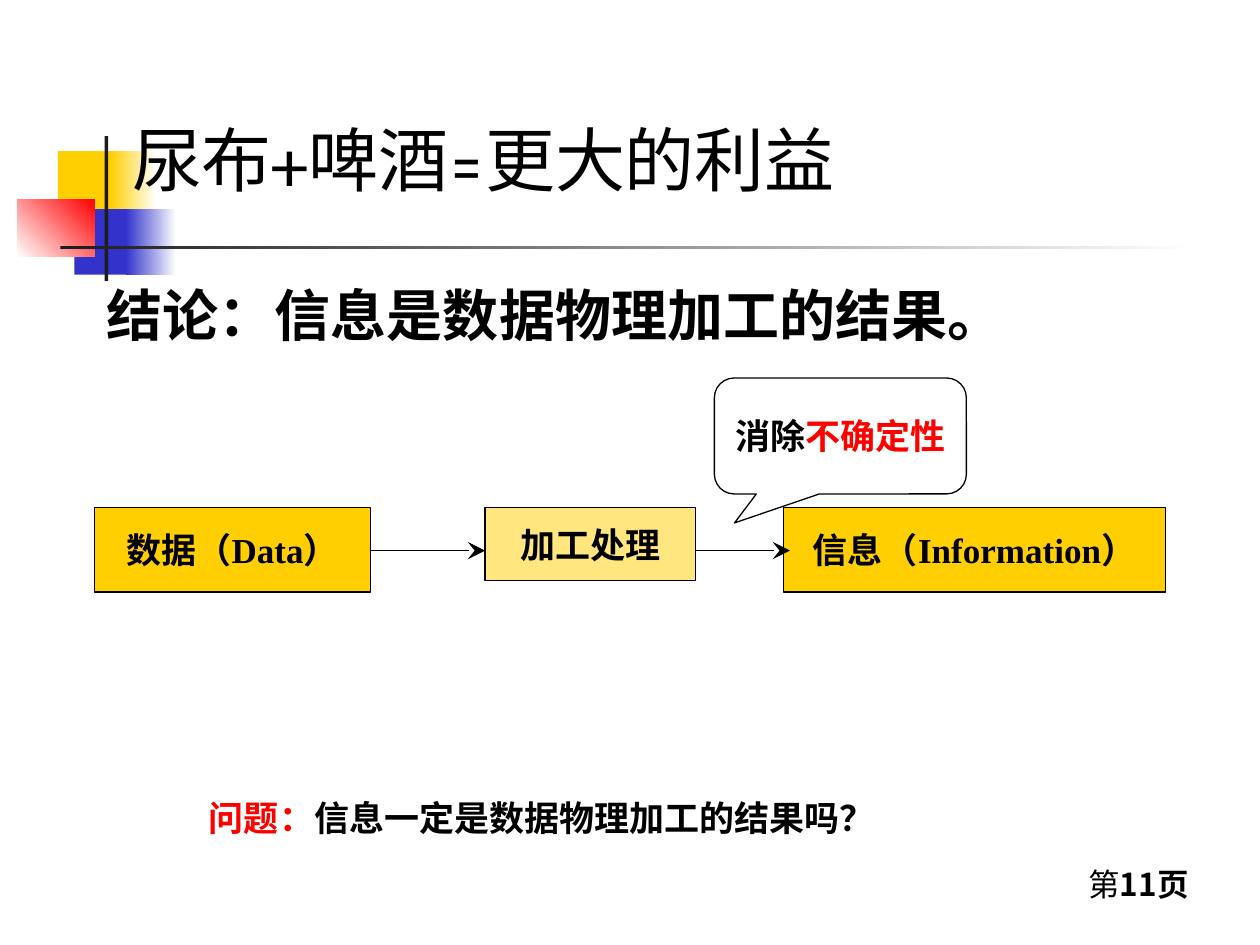
from typing import NamedTuple

from lxml import etree
from pptx import Presentation
from pptx import util as u
from pptx.dml.color import RGBColor
from pptx.enum import shapes, text
from pptx.oxml.ns import qn

BLACK, RED, YELLOW, BLUE, WHITE = "000000", "FF0000", "FFCF01", "3333CC", "FFFFFF"
DARK = "1C1C1C"
CJK, SERIF = "Noto Sans CJK SC", "Times New Roman"


class Area(NamedTuple):
    left: float
    top: float
    width: float
    height: float


class Span(NamedTuple):
    words: str
    color: str = BLACK
    bold: bool = True


class Block(NamedTuple):
    """A decorative rectangle, fading from color to fade when fade is given."""
    area: Area
    color: str
    fade: str = ""
    angle: int = 0


class Step(NamedTuple):
    area: Area
    label: str
    opacity: int = 100


class Caption(NamedTuple):
    area: Area
    spans: list[Span]
    size: int
    font: str
    anchor: text.MSO_ANCHOR = text.MSO_ANCHOR.TOP


BLOCKS = [
    Block(Area(0.46, 1.2, 0.48, 0.52), YELLOW),
    Block(Area(0.88, 1.2, 0.36, 0.52), YELLOW, WHITE),
    Block(Area(0.59, 1.66, 0.46, 0.52), BLUE),
    Block(Area(1, 1.66, 0.4, 0.52), BLUE, WHITE),
    Block(Area(0.14, 1.58, 0.61, 0.46), WHITE, RED, 45),
    Block(Area(0.83, 1.08, 0.03, 1.15), DARK),
    Block(Area(0.48, 1.95, 9, 0.03), DARK, WHITE),
]
CAPTIONS = [
    Caption(Area(8.54, 6.82, 1.08, 0.4),
            [Span("第", bold=False), Span("11页")], 18, CJK),
    Caption(Area(0.95, 0.81, 8.93, 0.83),
            [Span("尿布+啤酒=更大的利益", bold=False)], 40, "Karla", text.MSO_ANCHOR.BOTTOM),
    Caption(Area(0.75, 2.18, 8.58, 0.63),
            [Span("结论：信息是数据物理加工的结果。")], 32, CJK),
    Caption(Area(1.56, 6.23, 6.95, 0.52),
            [Span("问题：", RED), Span("信息一定是数据物理加工的结果吗？")],
            20, "Arial", text.MSO_ANCHOR.MIDDLE),
]
STEPS = [
    Step(Area(0.75, 4.03, 2.19, 0.67), "数据（Data）"),
    Step(Area(3.85, 4.03, 1.67, 0.58), "加工处理", 50),
    Step(Area(6.22, 4.03, 3.03, 0.67), "信息（Information）"),
]
ARROW_Y = 4.37
ARROWS = [(2.94, 3.85), (5.52, 6.27)]


def rgb(value: str) -> RGBColor:
    return RGBColor.from_string(value)


def inches(area: Area) -> list[u.Length]:
    return [u.Inches(length) for length in area]


def write(shape, spans: list[Span], size: int, font: str,
          anchor: text.MSO_ANCHOR, wrap: bool = True, centered: bool = False) -> None:
    frame = shape.text_frame
    frame.word_wrap = wrap
    frame.vertical_anchor = anchor
    para = frame.paragraphs[0]
    para.alignment = text.PP_ALIGN.CENTER if centered else text.PP_ALIGN.LEFT
    for span in spans:
        run = para.add_run()
        run.text = span.words
        run.font.size = u.Pt(size)
        run.font.bold = span.bold
        run.font.color.rgb = rgb(span.color)
        run.font.name = font
        east_asian = etree.Element(qn("a:ea"), typeface=CJK)
        run.font._element.find(qn("a:latin")).addnext(east_asian)


def add_preset(page, kind: shapes.MSO_SHAPE, area: Area):
    shape = page.shapes.add_shape(kind, *inches(area))
    shape.shadow.inherit = False
    return shape


def outline(line) -> None:
    line.color.rgb = rgb(BLACK)
    line.width = u.Pt(0.75)


def fill_solid(shape, color: str, opacity: int = 100) -> None:
    shape.fill.solid()
    shape.fill.fore_color.rgb = rgb(color)
    if opacity < 100:
        color_element = shape._element.spPr.find(qn("a:solidFill"))[0]
        etree.SubElement(color_element, qn("a:alpha"), val=str(opacity * 1000))


def draw_block(page, block: Block) -> None:
    shape = add_preset(page, shapes.MSO_SHAPE.RECTANGLE, block.area)
    shape.line.fill.background()
    if not block.fade:
        fill_solid(shape, block.color)
        return
    shape.fill.gradient()
    shape.fill.gradient_angle = block.angle
    for stop, color in zip(shape.fill.gradient_stops, (block.color, block.fade)):
        stop.color.rgb = rgb(color)


def draw_caption(page, caption: Caption) -> None:
    box = page.shapes.add_textbox(*inches(caption.area))
    write(box, caption.spans, caption.size, caption.font, caption.anchor)


def draw_step(page, step: Step) -> None:
    box = add_preset(page, shapes.MSO_SHAPE.RECTANGLE, step.area)
    fill_solid(box, YELLOW, step.opacity)
    outline(box.line)
    write(box, [Span(step.label)], 20, SERIF, text.MSO_ANCHOR.MIDDLE,
          wrap=False, centered=True)


def draw_arrow(page, start: float, end: float) -> None:
    y = u.Inches(ARROW_Y)
    arrow = page.shapes.add_connector(
        shapes.MSO_CONNECTOR.STRAIGHT, u.Inches(start), y, u.Inches(end), y)
    outline(arrow.line)
    properties = arrow._element.spPr
    etree.SubElement(properties.find(qn("a:ln")), qn("a:tailEnd"), type="stealth",
                     w="lg", len="lg")
    etree.SubElement(properties, qn("a:effectLst"))


def draw_callout(page) -> None:
    callout = add_preset(page, shapes.MSO_SHAPE.ROUNDED_RECTANGULAR_CALLOUT,
                         Area(5.67, 3, 2, 0.92))
    for index, value in enumerate((-0.42, 0.75, 0.17)):
        callout.adjustments[index] = value
    callout.fill.background()
    outline(callout.line)
    write(callout, [Span("消除"), Span("不确定性", RED)], 20, SERIF,
          text.MSO_ANCHOR.MIDDLE, centered=True)


def main() -> None:
    deck = Presentation()
    deck.slide_width, deck.slide_height = u.Inches(10), u.Inches(7.5)
    page = deck.slides.add_slide(deck.slide_layouts[6])
    for block in BLOCKS:
        draw_block(page, block)
    for caption in CAPTIONS:
        draw_caption(page, caption)
    for step in STEPS:
        draw_step(page, step)
    for start, end in ARROWS:
        draw_arrow(page, start, end)
    draw_callout(page)
    deck.save("out.pptx")


if __name__ == "__main__":
    main()
